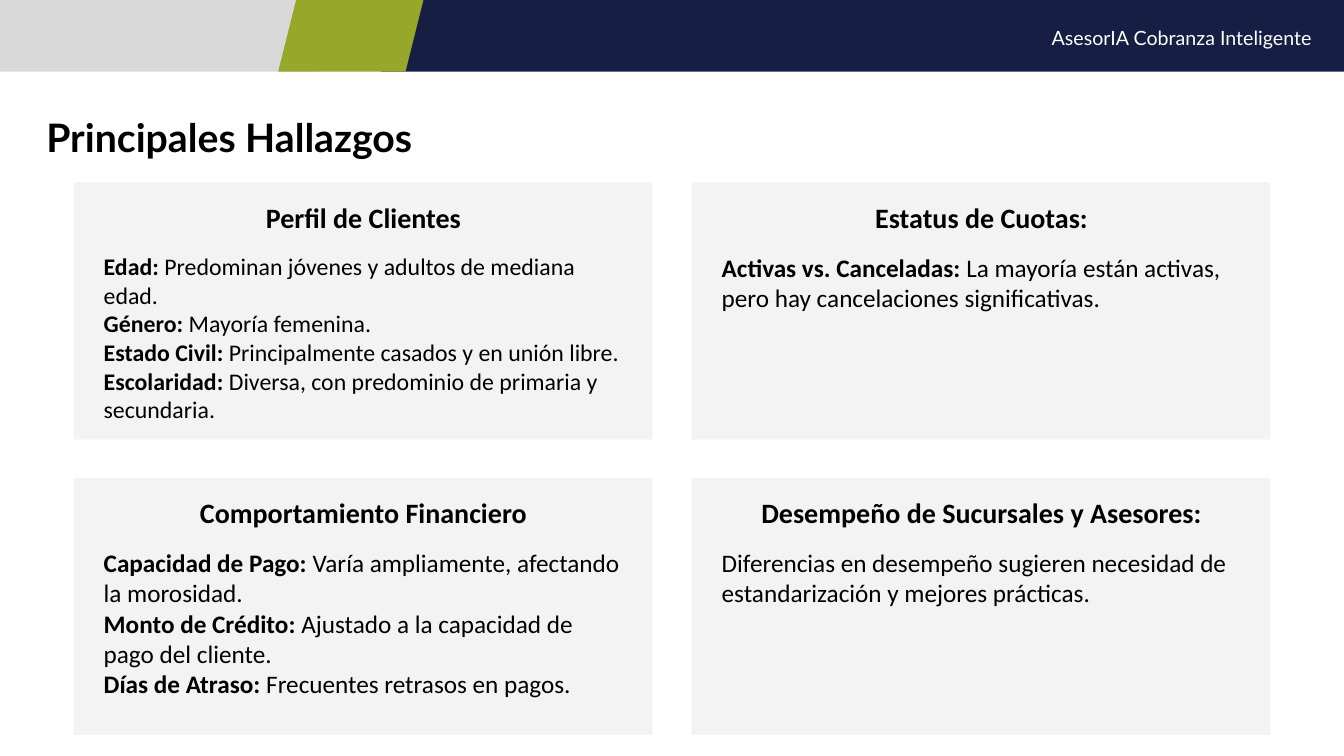
from pptx import Presentation
from pptx.dml.color import RGBColor
from pptx.enum.shapes import MSO_SHAPE
from pptx.enum.text import MSO_ANCHOR, MSO_AUTO_SIZE, PP_ALIGN
from pptx.util import Inches, Pt

NAVY = RGBColor(0x16, 0x1E, 0x44)
GREEN = RGBColor(0x97, 0xA7, 0x2A)
SILVER = RGBColor(0xD9, 0xD9, 0xD9)
PALE = RGBColor(0xF3, 0xF3, 0xF3)
BLACK = RGBColor(0, 0, 0)
WHITE = RGBColor(0xFF, 0xFF, 0xFF)

SLIDE_WIDTH, SLIDE_HEIGHT = 13.33, 7.5
CARD_WIDTH, CARD_HEIGHT = 5.74, 2.55
CARD_LEFT, CARD_TOP = 0.73, 1.81
COLUMN_STEP, ROW_STEP = 6.13, 2.93

CARDS = [
    ("Perfil de Clientes", 17, 2.33, [
        ("Edad: ", "Predominan jóvenes y adultos de mediana edad."),
        ("Género: ", "Mayoría femenina."),
        ("Estado Civil: ", "Principalmente casados y en unión libre."),
        ("Escolaridad: ", "Diversa, con predominio de primaria y secundaria."),
    ]),
    ("Estatus de Cuotas:", 18, 1.22, [
        ("Activas vs. Canceladas: ",
         "La mayoría están activas, pero hay cancelaciones significativas."),
    ]),
    ("Comportamiento Financiero", 18, 2.13, [
        ("Capacidad de Pago: ", "Varía ampliamente, afectando la morosidad."),
        ("Monto de Crédito: ", "Ajustado a la capacidad de pago del cliente."),
        ("Días de Atraso: ", "Frecuentes retrasos en pagos."),
    ]),
    ("Desempeño de Sucursales y Asesores:", 18, 1.22, [
        ("", "Diferencias en desempeño sugieren necesidad de estandarización "
             "y mejores prácticas."),
    ]),
]


def add_block(page, kind, left, top, width, height, color):
    """Add a flat, borderless filled shape."""
    block = page.shapes.add_shape(
        kind, Inches(left), Inches(top), Inches(width), Inches(height))
    block.shadow.inherit = False
    block.fill.solid()
    block.fill.fore_color.rgb = color
    block.line.fill.background()
    return block


def add_text_box(page, left, top, width, height):
    """Add a wrapping text box and return its text frame."""
    box = page.shapes.add_textbox(
        Inches(left), Inches(top), Inches(width), Inches(height))
    box.text_frame.word_wrap = True
    return box.text_frame


def write(para, text, font="Calibri", size=18, color=BLACK, bold=False,
          align=PP_ALIGN.LEFT, spacing=None, after=0):
    """Append formatted text to a paragraph."""
    para.alignment = align
    para.space_after = Pt(after)
    if spacing:
        para.line_spacing = spacing
    span = para.add_run()
    span.text = text
    span.font.name = font
    span.font.size = Pt(size)
    span.font.bold = bold
    span.font.color.rgb = color


def add_header(page, left, top, width, height):
    """Draw the banner with the project name."""
    add_block(page, MSO_SHAPE.RECTANGLE, left + 3.78, top, width - 3.78, height, NAVY)
    add_block(page, MSO_SHAPE.RECTANGLE, left, top, 3.15, height, SILVER)
    slant = add_block(page, MSO_SHAPE.PARALLELOGRAM, left + 2.76, top, 1.44, height, GREEN)
    slant.adjustments[0] = 0.25
    project = add_text_box(page, left + 3.81, top + 0.12, 9.3, 0.67)
    project.margin_top = project.margin_bottom = Inches(0.1)
    write(project.paragraphs[0], "AsesorIA Cobranza Inteligente", font="Lato",
          size=14, color=WHITE, align=PP_ALIGN.RIGHT, spacing=1.15)


def add_title(page, left, top, width, height):
    """Place and format the slide title."""
    title = page.shapes.title
    title.left, title.top = Inches(left), Inches(top)
    title.width, title.height = Inches(width), Inches(height)
    frame = title.text_frame
    frame.auto_size = MSO_AUTO_SIZE.NONE
    frame.vertical_anchor = MSO_ANCHOR.BOTTOM
    write(frame.paragraphs[0], "Principales Hallazgos", font="Lato", size=28,
          bold=True, after=12)


def add_card(page, left, top, width, height, heading, size, text_height, findings):
    """Draw one panel with a centred heading and its findings."""
    add_block(page, MSO_SHAPE.RECTANGLE, left, top, width, height, PALE)
    frame = add_text_box(page, left + 0.2, top + 0.13, width - 0.39, text_height)
    frame.auto_size = MSO_AUTO_SIZE.SHAPE_TO_FIT_TEXT
    write(frame.paragraphs[0], heading, size=20, bold=True,
          align=PP_ALIGN.CENTER, after=12.8)
    for label, finding in findings:
        para = frame.add_paragraph()
        if label:
            write(para, label, size=size, bold=True)
        write(para, finding, size=size)


def main():
    """Build and save the findings slide."""
    deck = Presentation()
    deck.slide_width = Inches(SLIDE_WIDTH)
    deck.slide_height = Inches(SLIDE_HEIGHT)
    page = deck.slides.add_slide(deck.slide_layouts.get_by_name("Title Only"))
    add_header(page, 0, 0, SLIDE_WIDTH, 0.71)
    add_title(page, 0.36, 0.62, 7.62, 1.02)
    for index, card in enumerate(CARDS):
        row, column = divmod(index, 2)
        add_card(page, CARD_LEFT + column * COLUMN_STEP, CARD_TOP + row * ROW_STEP,
                 CARD_WIDTH, CARD_HEIGHT, *card)
    deck.save("out.pptx")


if __name__ == "__main__":
    main()
